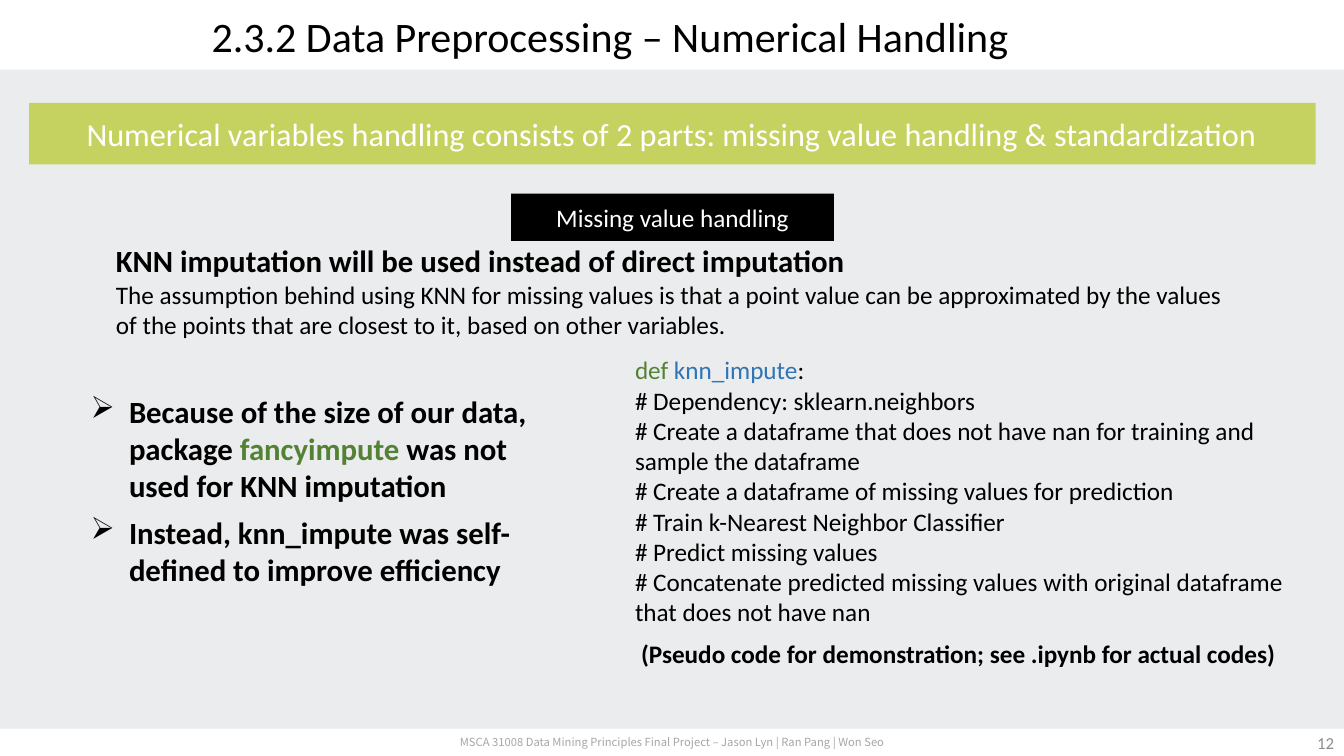
"""Build the numerical handling slide of a data preprocessing deck."""
from lxml import etree
from pptx import Presentation
from pptx import util as u
from pptx.dml.color import RGBColor
from pptx.enum import shapes, text
from pptx.oxml.ns import qn

COLORS = {
    "back": "EBECED", "white": "FFFFFF", "black": "000000", "lime": "C6D260",
    "green": "548235", "blue": "2E75B6", "footer": "A6A6A6", "number": "8C8C8C",
}
LEFT, CENTER, RIGHT = text.PP_ALIGN.LEFT, text.PP_ALIGN.CENTER, text.PP_ALIGN.RIGHT
TOP, MIDDLE = text.MSO_ANCHOR.TOP, text.MSO_ANCHOR.MIDDLE
RECT, ROUND = shapes.MSO_SHAPE.RECTANGLE, shapes.MSO_SHAPE.ROUNDED_RECTANGLE


class SlideBuilder:
    """Hold the style and the current slide."""

    def __init__(self, prs):
        self.style = {"name": "Calibri", "size": 18, "bold": False, "color": "black"}
        self.s = prs.slides.add_slide(prs.slide_layouts[6])
        self.paint(self.s.background.fill, "back")

    def paint(self, fill, color):
        """Paint a fill in one named colour."""
        fill.solid()
        fill.fore_color.rgb = RGBColor.from_string(COLORS[color])

    def box(self, at, color, kind=RECT):
        """Add a plain filled shape."""
        sp = self.s.shapes.add_shape(kind, *map(u.Inches, at))
        sp.shadow.inherit = False
        self.paint(sp.fill, color)
        sp.line.fill.background()
        return sp

    def textbox(self, at, paras, **fmt):
        """Add a text box with its paragraphs."""
        sp = self.s.shapes.add_textbox(*map(u.Inches, at))
        self.set_text(sp, paras, **fmt)

    def set_text(self, sp, paras, align=LEFT, anchor=TOP, inset=(0.1, 0.05), wrap=True,
                 bullet=None, gap=0, **font):
        """Fill a shape with paragraphs, each a list of (text, font values) runs."""
        tf = sp.text_frame
        x, y = map(u.Inches, inset)
        frame = {"word_wrap": wrap, "vertical_anchor": anchor, "margin_left": x,
                 "margin_right": x, "margin_top": y, "margin_bottom": y}
        for key, value in frame.items():
            setattr(tf, key, value)
        for i, runs in enumerate(paras):
            p = tf.add_paragraph() if i else tf.paragraphs[0]
            p.alignment = align
            if i and gap:
                p.space_before = u.Pt(gap)
            if bullet:
                self.add_bullet(p, bullet)
            for words, own in runs:
                self.add_text(p, words, {**self.style, **font, **own})

    def add_text(self, p, words, fmt):
        """Add one formatted run."""
        r = p.add_run()
        r.text = words
        values = {"name": fmt["name"], "size": u.Pt(fmt["size"]), "bold": fmt["bold"]}
        for key, value in values.items():
            setattr(r.font, key, value)
        r.font.color.rgb = RGBColor.from_string(COLORS[fmt["color"]])

    def add_bullet(self, p, char):
        """Give a paragraph a hanging bullet."""
        pPr = p._p.get_or_add_pPr()
        indent = u.Inches(0.38)
        pPr.set("marL", str(indent))
        pPr.set("indent", str(-indent))
        etree.SubElement(pPr, qn("a:buChar")).set("char", char)


def main():
    """Draw the slide and save it."""
    prs = Presentation()
    prs.slide_width, prs.slide_height = u.Inches(13.33), u.Inches(7.5)
    b = SlideBuilder(prs)
    snug = (0.07, 0.07)

    b.box((0, 0, 13.33, 0.69), "white")
    b.box((0, 7.23, 13.33, 0.27), "white")
    b.textbox((3.42, 7.23, 6.5, 0.27), [[(
        "MSCA 31008 Data Mining Principles Final Project – Jason Lyn | Ran Pang | Won Seo", {})]],
        align=CENTER, anchor=MIDDLE, inset=snug, name="Noto Sans CJK SC", size=8, color="footer")

    banner = b.box((0.29, 1.02, 12.76, 0.61), "lime")
    b.set_text(banner, [[(
        "Numerical variables handling consists of 2 parts: "
        "missing value handling & standardization", {})]],
        align=CENTER, anchor=MIDDLE, size=23, color="white")

    label = b.box((5.07, 1.92, 3.2, 0.47), "black", ROUND)
    label.adjustments[0] = 0
    b.set_text(label, [[("Missing value handling", {})]],
               align=CENTER, anchor=MIDDLE, inset=(0, 0), color="white")

    b.textbox((1.08, 2.33, 11.18, 1.11), [
        [("KNN imputation will be used instead of direct imputation", {"size": 22, "bold": True})],
        [("The assumption behind using KNN for missing values is that a point value can be "
          "approximated by the values of the points that are closest to it, "
          "based on other variables.", {})],
    ], inset=snug)

    steps = [
        "Dependency: sklearn.neighbors",
        "Create a dataframe that does not have nan for training and sample the dataframe",
        "Create a dataframe of missing values for prediction",
        "Train k-Nearest Neighbor Classifier",
        "Predict missing values",
        "Concatenate predicted missing values with original dataframe that does not have nan",
    ]
    signature = [("def ", {"color": "green"}), ("knn_impute", {"color": "blue"}), (":", {})]
    b.textbox((6.2, 3.47, 6.67, 2.83), [signature] + [[(f"# {step}", {})] for step in steps])

    b.textbox((0.83, 3.83, 4.94, 2.09), [
        [("Because of the size of our data, package ", {}), ("fancyimpute", {"color": "green"}),
         (" was not used for KNN imputation", {})],
        [("Instead, knn_impute was self-defined to improve efficiency", {})],
    ], inset=snug, bullet="➢", gap=7.2, size=22, bold=True)

    b.textbox((6.26, 6.28, 6.55, 0.4), [[(
        "(Pseudo code for demonstration; see .ipynb for actual codes)", {})]],
        wrap=False, bold=True)
    b.textbox((2, 0, 11.33, 0.7), [[("2.3.2 Data Preprocessing – Numerical Handling", {})]],
              anchor=MIDDLE, size=30)
    b.textbox((10.33, 7.17, 3, 0.4), [[("12", {})]],
              align=RIGHT, anchor=MIDDLE, size=12, color="number")

    prs.save("out.pptx")


if __name__ == "__main__":
    main()
